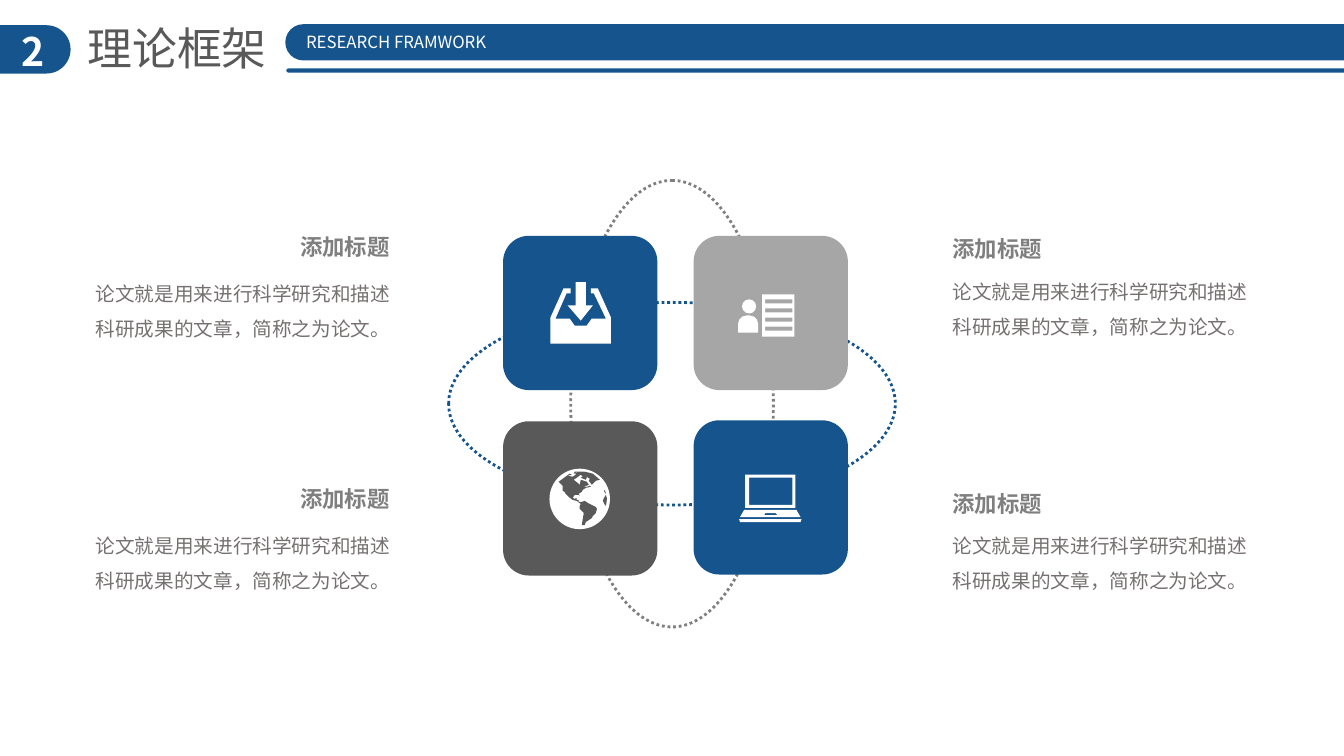
from dataclasses import dataclass

import pptx
import pptx.dml.color
import pptx.enum.dml
import pptx.enum.shapes
import pptx.enum.text
import pptx.oxml
import pptx.oxml.ns
import pptx.util

Inches = pptx.util.Inches
Kind = pptx.enum.shapes.MSO_SHAPE
Align = pptx.enum.text.PP_ALIGN
Contour = list[tuple[int, int]]

FONT = "Noto Sans CJK SC"
BLUE, DARK, SILVER, WHITE = "15548D", "595959", "A6A6A6", "FFFFFF"
DOT_GREY, TITLE_GREY, BODY_GREY = "808080", "7F7F7F", "767171"
TILE_SIZE = 1.53
HUNDREDTH = Inches(0.01)


@dataclass
class Tile:
    left: float
    top: float
    fill: str


@dataclass
class Note:
    title_left: float
    title_top: float
    body_left: float
    body_top: float


@dataclass
class Icon:
    """Contours are in hundredths of an inch on the slide; inner ones are holes."""
    contours: list[Contour]
    fill: str = WHITE


def box(left: int, top: int, right: int, bottom: int) -> Contour:
    return [(left, top), (right, top), (right, bottom), (left, bottom)]


TILES = [
    Tile(4.99, 2.34, BLUE),
    Tile(6.88, 2.34, SILVER),
    Tile(4.99, 4.18, DARK),
    Tile(6.88, 4.17, BLUE),
]

NOTES = [
    Note(2.88, 2.26, 0.85, 2.63),
    Note(2.88, 4.76, 0.85, 5.13),
    Note(9.35, 2.28, 9.35, 2.61),
    Note(9.35, 4.81, 9.35, 5.13),
]

DOWN_ARROW = Icon([[(581, 303), (581, 280), (571, 280), (571, 303),
                    (563, 303), (576, 318), (588, 303)]])
INBOX_TRAY = Icon([[
    (593, 286), (586, 286), (586, 291), (589, 291), (601, 316), (587, 316),
    (582, 323), (570, 323), (565, 316), (551, 316), (562, 291), (566, 291),
    (566, 286), (559, 286), (546, 315), (546, 341), (606, 341), (606, 315)]])
LINED_CARD = Icon([box(756, 292, 788, 334)]
                  + [box(759, top, 786, top + 4) for top in range(297, 326, 9)])
LAPTOP = Icon([
    box(739, 471, 789, 504), box(743, 474, 786, 501),
    [(738, 506), (790, 506), (794, 513), (734, 513)],
    [(759, 509), (769, 509), (771, 511), (758, 511)],
    [(733, 515), (795, 515), (794, 518), (734, 518)]])
CONTINENTS = Icon([
    [(554, 478), (565, 470), (567, 471), (563, 472), (568, 473), (571, 471),
     (571, 469), (574, 469), (569, 470), (570, 468), (579, 468), (576, 470),
     (580, 468), (588, 470), (595, 476), (591, 477), (587, 481), (584, 477),
     (585, 475), (580, 472), (582, 474), (581, 476), (576, 474), (578, 473),
     (576, 471), (572, 474), (569, 476), (574, 480), (575, 481), (576, 476),
     (579, 477), (582, 478), (584, 481), (579, 483), (582, 483), (585, 482),
     (586, 483), (581, 484), (578, 486), (577, 488), (574, 490), (575, 492),
     (574, 491), (570, 491), (568, 494), (570, 495), (572, 494), (572, 496),
     (574, 496), (574, 498), (577, 498), (580, 497), (583, 499), (587, 501),
     (591, 503), (592, 505), (591, 509), (588, 512), (587, 514), (584, 516),
     (581, 518), (580, 521), (577, 521), (578, 515), (579, 509), (575, 505),
     (575, 502), (576, 500), (572, 497), (568, 496), (564, 493), (561, 490),
     (560, 488), (558, 487), (558, 482)],
    [(599, 487), (600, 486), (601, 490), (600, 489)],
    [(600, 501), (598, 497), (599, 494), (601, 491), (602, 495), (601, 502)],
], DARK)


def rgb(value: str) -> pptx.dml.color.RGBColor:
    return pptx.dml.color.RGBColor.from_string(value)


def paint(shape, fill: str) -> None:
    shape.shadow.inherit = False
    shape.fill.solid()
    shape.fill.fore_color.rgb = rgb(fill)
    shape.line.fill.background()


def add_solid(slide, kind, left: float, top: float, width: float, height: float,
              fill: str, rounding: float | None = None) -> None:
    shape = slide.shapes.add_shape(
        kind, Inches(left), Inches(top), Inches(width), Inches(height))
    paint(shape, fill)
    if rounding is not None:
        shape.adjustments[0] = rounding


def add_orbit(slide, color: str, rotation: int) -> None:
    orbit = slide.shapes.add_shape(
        Kind.OVAL, Inches(4.45), Inches(3), Inches(4.43), Inches(2.01))
    orbit.rotation = rotation
    orbit.shadow.inherit = False
    orbit.fill.background()
    orbit.line.color.rgb = rgb(color)
    orbit.line.width = pptx.util.Pt(2)
    orbit.line.dash_style = pptx.enum.dml.MSO_LINE.ROUND_DOT


def add_icon(slide, icon: Icon) -> None:
    first, *others = icon.contours
    builder = slide.shapes.build_freeform(*first[0], scale=HUNDREDTH)
    builder.add_line_segments(first[1:], close=True)
    for contour in others:
        builder.move_to(*contour[0])
        builder.add_line_segments(contour[1:], close=True)
    paint(builder.convert_to_shape(), icon.fill)


def add_text(slide, text: str, left: float, top: float, width: float,
             height: float, size: int, color: str, bold: bool = False,
             align=Align.LEFT, wrap: bool = False, spacing: float = 1.0) -> None:
    frame = slide.shapes.add_textbox(
        Inches(left), Inches(top), Inches(width), Inches(height)).text_frame
    frame.text = text
    frame.word_wrap = wrap
    frame.auto_size = pptx.enum.text.MSO_AUTO_SIZE.SHAPE_TO_FIT_TEXT
    paragraph = frame.paragraphs[0]
    paragraph.alignment = align
    paragraph.line_spacing = spacing
    run = paragraph.runs[0]
    run.font.size = pptx.util.Pt(size)
    run.font.bold = bold
    run.font.color.rgb = rgb(color)
    run.font.name = FONT
    east_asian = pptx.oxml.parse_xml(
        f'<a:ea {pptx.oxml.ns.nsdecls("a")} typeface="{FONT}"/>')
    run.font._element.append(east_asian)


def add_note(slide, note: Note) -> None:
    add_text(slide, "添加标题", note.title_left, note.title_top, 1.1, 0.37,
             16, TITLE_GREY, bold=True)
    add_text(slide, "论文就是用来进行科学研究和描述科研成果的文章，简称之为论文。",
             note.body_left, note.body_top, 3.13, 0.81, 14, BODY_GREY,
             wrap=True, spacing=1.5)


def add_header(slide) -> None:
    add_solid(slide, Kind.ROUNDED_RECTANGLE, -0.28, 0.25, 0.98, 0.48, BLUE, 0.5)
    add_text(slide, "2", 0.07, 0.22, 0.51, 0.57, 28, WHITE, bold=True,
             align=Align.CENTER, wrap=True)
    add_text(slide, "理论框架", 0.77, 0.16, 2, 0.64, 32, DARK)
    add_solid(slide, Kind.ROUNDED_RECTANGLE, 2.83, 0.24, 11.03, 0.36, BLUE, 0.5)
    add_solid(slide, Kind.ROUNDED_RECTANGLE, 2.84, 0.68, 11.03, 0.04, BLUE, 0.5)
    add_text(slide, "RESEARCH FRAMWORK", 2.87, 0.27, 2.12, 0.3, 12, WHITE,
             align=Align.CENTER)


def main() -> None:
    deck = pptx.Presentation()
    deck.slide_width, deck.slide_height = Inches(13.33), Inches(7.5)
    slide = deck.slides.add_slide(deck.slide_layouts[6])

    add_orbit(slide, BLUE, 0)
    add_orbit(slide, DOT_GREY, 90)
    for note in NOTES:
        add_note(slide, note)
    add_header(slide)
    for tile in TILES:
        add_solid(slide, Kind.ROUNDED_RECTANGLE, tile.left, tile.top,
                  TILE_SIZE, TILE_SIZE, tile.fill)

    # Person beside the card, and the globe under its continents
    add_solid(slide, Kind.OVAL, 7.36, 2.97, 0.14, 0.14, WHITE)
    add_solid(slide, Kind.ROUND_2_SAME_RECTANGLE, 7.32, 3.13, 0.2, 0.17, WHITE, 0.5)
    add_solid(slide, Kind.OVAL, 5.45, 4.65, 0.6, 0.6, WHITE)
    for icon in (DOWN_ARROW, INBOX_TRAY, LINED_CARD, CONTINENTS, LAPTOP):
        add_icon(slide, icon)

    deck.save("out.pptx")


if __name__ == "__main__":
    main()
